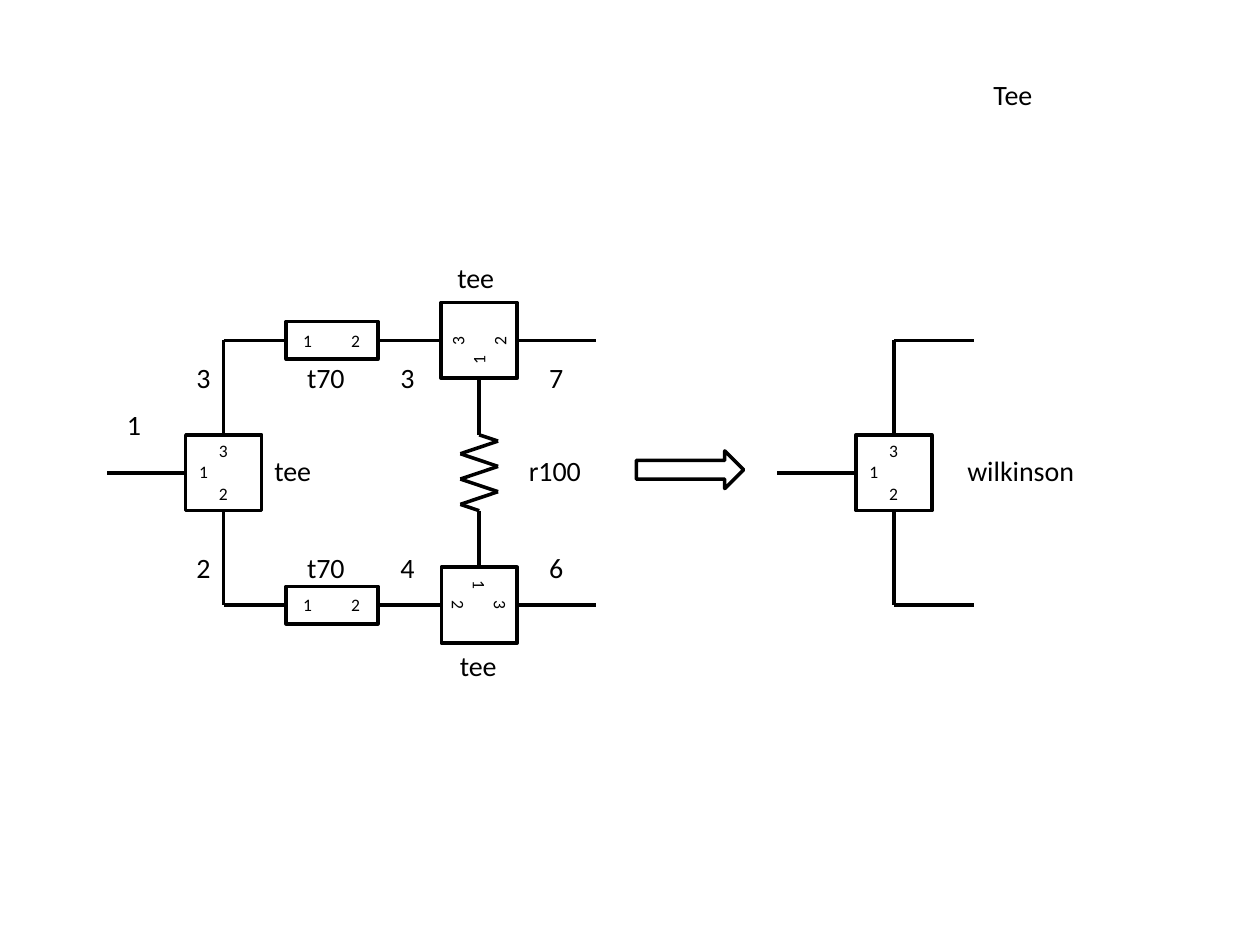
from dataclasses import dataclass
from itertools import pairwise
from math import cos, radians, sin

from lxml import etree
from pptx import Presentation
from pptx.dml.color import RGBColor
from pptx.enum.shapes import MSO_CONNECTOR, MSO_SHAPE
from pptx.enum.text import MSO_ANCHOR, PP_ALIGN
from pptx.oxml.ns import qn
from pptx.util import Cm, Pt

STRAIGHT = MSO_CONNECTOR.STRAIGHT
RECTANGLE = MSO_SHAPE.RECTANGLE
RIGHT_ARROW = MSO_SHAPE.RIGHT_ARROW
MIDDLE = MSO_ANCHOR.MIDDLE
CENTER = PP_ALIGN.CENTER


@dataclass(frozen=True)
class Theme:
    ink: RGBColor = RGBColor(0, 0, 0)
    font: str = "Calibri"
    label_size: int = 16
    pin_size: int = 10
    line_width: int = 2


THEME = Theme()
ROW_GAP = 2.67      # between the upper arm, the input and the lower arm
TEE_SIDE = 1.53
HUB_X = 2.35        # tee centre, measured from the start of the input wire
LABEL_HEIGHT = 0.94


def style_line(line):
    line.color.rgb = THEME.ink
    line.width = Pt(THEME.line_width)


def add_wire(shapes, start, end):
    wire = shapes.add_connector(STRAIGHT, *(Cm(value) for value in (*start, *end)))
    style_line(wire.line)
    etree.SubElement(wire._element.spPr, qn("a:effectLst"))


def add_outline(shapes, kind, left, top, width, height):
    shape = shapes.add_shape(kind, Cm(left), Cm(top), Cm(width), Cm(height))
    shape.shadow.inherit = False
    shape.fill.background()
    style_line(shape.line)
    return shape


def add_text(shapes, text, box, size=THEME.label_size, **frame_format):
    """Add a text box and return it; frame_format holds text frame attributes."""
    text_box = shapes.add_textbox(*(Cm(value) for value in box))
    frame = text_box.text_frame
    frame.text = text
    for name, value in {"word_wrap": False, **frame_format}.items():
        setattr(frame, name, value)
    font_format = {"name": THEME.font, "size": Pt(size)}
    for paragraph in frame.paragraphs:
        for run in paragraph.runs:
            run.font.color.rgb = THEME.ink
            for name, value in font_format.items():
                setattr(run.font, name, value)
    return text_box


def add_labels(shapes, left, top, labels):
    for text, x, y, width in labels:
        add_text(shapes, text, (left + x, top + y, width, LABEL_HEIGHT))


def add_tee(shapes, center_x, center_y, rotation=0):
    """Draw a three-port box whose pin numbers turn with it."""
    group = shapes.add_group_shape().shapes
    half = TEE_SIDE / 2
    body = add_outline(group, RECTANGLE, center_x - half, center_y - half,
                       TEE_SIDE, TEE_SIDE)
    body.rotation = rotation
    width, height, shift = 1.09, 1.55, -0.2
    text_x = center_x + shift * cos(radians(rotation))
    text_y = center_y + shift * sin(radians(rotation))
    pins = add_text(group, "3\n1\n2",
                    (text_x - width / 2, text_y - height / 2, width, height),
                    THEME.pin_size, word_wrap=True, margin_right=0)
    pins.rotation = rotation
    paragraphs = pins.text_frame.paragraphs
    for paragraph in (paragraphs[0], paragraphs[2]):
        paragraph._p.get_or_add_pPr().set("marL", str(Cm(0.4)))


def add_transmission_line(shapes, left, center_y, width):
    group = shapes.add_group_shape().shapes
    height = 0.76
    add_outline(group, RECTANGLE, left, center_y - height / 2, width, height)
    pins = add_text(group, "1\t2", (left + 0.09, center_y - 0.34, 1.68, 0.68),
                    THEME.pin_size, word_wrap=True)
    properties = pins.text_frame.paragraphs[0]._p.get_or_add_pPr()
    tabs = etree.SubElement(properties, qn("a:tabLst"))
    etree.SubElement(tabs, qn("a:tab"), pos=str(Cm(0.97)), algn="l")


def add_resistor(shapes, x, top, height):
    group = shapes.add_group_shape().shapes
    swing, step = 0.38, height / 6
    peaks = [(x + swing * (-1) ** i, top + step * (i + 0.5)) for i in range(6)]
    for start, end in pairwise([(x, top), *peaks, (x, top + height)]):
        add_wire(group, start, end)


def add_splitter(shapes, left, top):
    """Draw the input wire, its tee and the two wires leading to the arms."""
    hub_x, hub_y = left + HUB_X, top + ROW_GAP
    half = TEE_SIDE / 2
    add_wire(shapes, (left, hub_y), (hub_x - half, hub_y))
    for side in (-1, 1):
        add_wire(shapes, (hub_x, hub_y + side * half), (hub_x, hub_y + side * ROW_GAP))
    add_tee(shapes, hub_x, hub_y)


def add_circuit(shapes, left, top):
    half = TEE_SIDE / 2
    hub_x, block_x, tee_x, end_x = (left + x for x in (HUB_X, 3.61, 7.5, 9.85))
    block_width = 1.85
    middle = top + ROW_GAP
    add_splitter(shapes, left, top)
    for side, rotation in ((-1, 270), (1, 90)):
        row = middle + side * ROW_GAP
        for start, end in ((hub_x, block_x),
                           (block_x + block_width, tee_x - half),
                           (tee_x + half, end_x)):
            add_wire(shapes, (start, row), (end, row))
        add_transmission_line(shapes, block_x, row, block_width)
        add_tee(shapes, tee_x, row, rotation)
        add_wire(shapes, (tee_x, middle + side * half),
                 (tee_x, row - side * half))
    add_resistor(shapes, tee_x, middle - half, TEE_SIDE)

    upper, lower, center = 0.28, 4.11, 2.16
    arm_labels = [
        (text, x, y, width)
        for y, texts in ((upper, ("3", "t70", "3", "7")),
                         (lower, ("2", "t70", "4", "6")))
        for text, x, width in zip(texts, (1.55, 3.78, 5.66, 8.66),
                                  (0.8, 1.3, 0.8, 0.8))
    ]
    add_labels(shapes, left, top, arm_labels + [
        ("1", 0.15, 1.24, 0.8),
        ("tee", 6.81, -1.73, 1.27),
        ("tee", 6.86, 6.09, 1.27),
        ("tee", 3.12, center, 1.27),
        ("r100", 8.25, center, 1.57),
    ])


def add_symbol(shapes, left, top):
    add_splitter(shapes, left, top)
    for row in (top, top + 2 * ROW_GAP):
        add_wire(shapes, (left + HUB_X, row), (left + 3.96, row))
    add_labels(shapes, left, top, [("wilkinson", 3.58, 2.16, 2.69)])


def add_title(shapes, left, top, width, height):
    title = add_text(shapes, "Tee", (left, top, width, height),
                     word_wrap=True, vertical_anchor=MIDDLE)
    title.text_frame.paragraphs[0].alignment = CENTER


def main():
    presentation = Presentation()
    presentation.slide_width, presentation.slide_height = Cm(25.4), Cm(19.05)
    slide = presentation.slides.add_slide(presentation.slide_layouts[6])
    shapes = slide.shapes
    arm_row = 6.86
    add_title(shapes, 16.71, 0.76, 7.42, 2.29)
    add_circuit(shapes, 2.16, arm_row)
    add_outline(shapes, RIGHT_ARROW, 12.83, 9.09, 2.16, 0.76)
    add_symbol(shapes, 15.67, arm_row)
    presentation.save("out.pptx")


if __name__ == "__main__":
    main()
